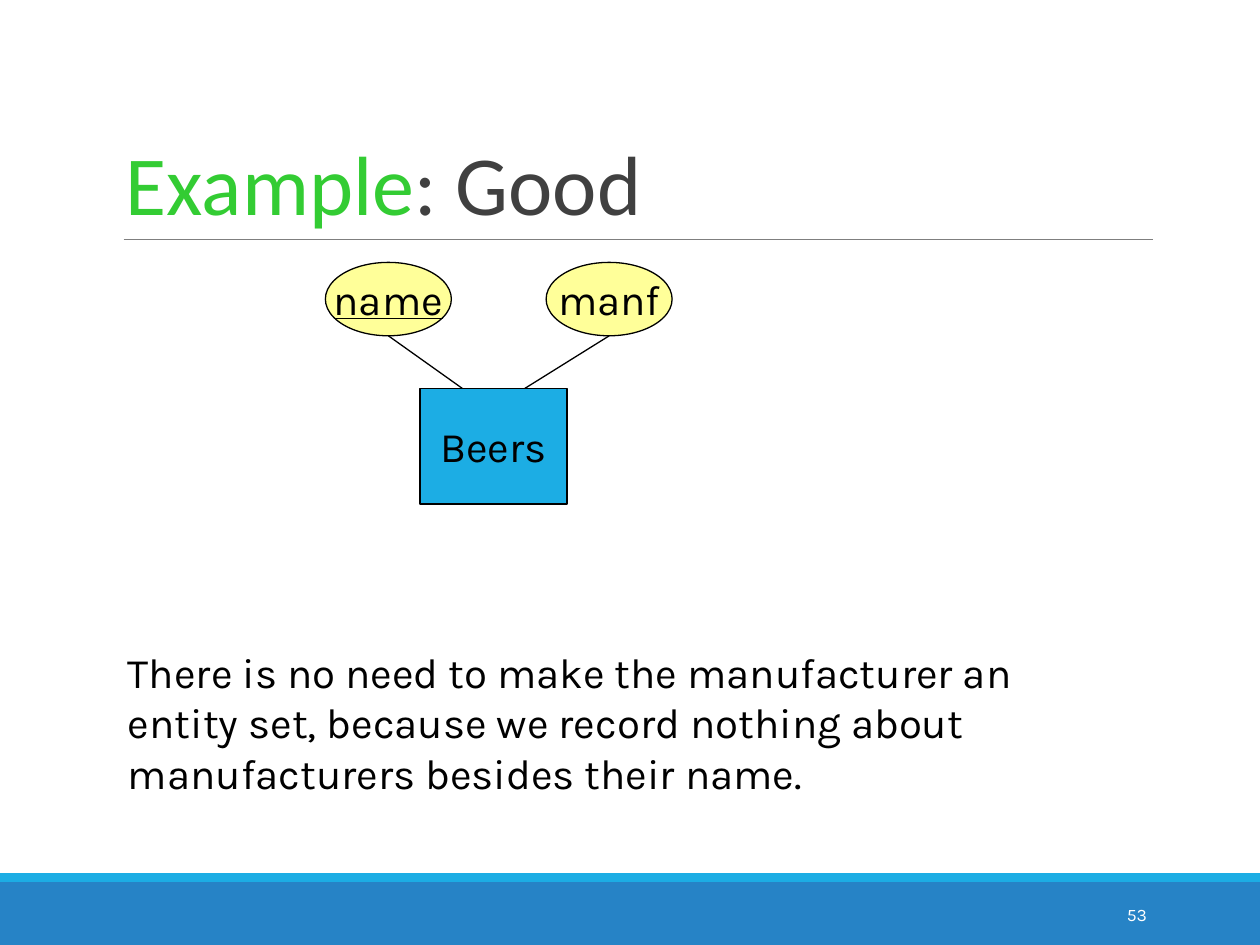
from pptx import Presentation
from pptx.dml.color import RGBColor
from pptx.enum.shapes import MSO_CONNECTOR, MSO_SHAPE
from pptx.enum.text import MSO_ANCHOR, PP_ALIGN
from pptx.oxml.ns import qn
from pptx.util import Cm, Pt
from lxml import etree

STRAIGHT = MSO_CONNECTOR.STRAIGHT
RECTANGLE, OVAL = MSO_SHAPE.RECTANGLE, MSO_SHAPE.OVAL
TOP, MIDDLE, BOTTOM = MSO_ANCHOR.TOP, MSO_ANCHOR.MIDDLE, MSO_ANCHOR.BOTTOM
LEFT, CENTER, RIGHT = PP_ALIGN.LEFT, PP_ALIGN.CENTER, PP_ALIGN.RIGHT

COLORS = {
    "black": "000000",
    "white": "FFFFFF",
    "blue": "2683C6",
    "cyan": "1CADE4",
    "yellow": "FFFF99",
    "green": "33CC33",
    "charcoal": "404040",
    "gray": "7F7F7F",
}


class SlideBuilder:
    """Draws styled elements on the current slide, with lengths in centimetres."""

    body_font = "Karla"
    title_font = "Calibri"

    def __init__(self, slide):
        self.slide = slide

    def color(self, name):
        return RGBColor.from_string(COLORS[name])

    def format_run(self, run, size, color, font=body_font, underline=None):
        run.font.name = font
        run.font.size = Pt(size)
        run.font.color.rgb = self.color(color)
        run.font.underline = underline

    def shape(self, kind, box, fill, outline=None):
        shape = self.slide.shapes.add_shape(kind, *map(Cm, box))
        shape.shadow.inherit = False
        shape.fill.solid()
        shape.fill.fore_color.rgb = self.color(fill)
        if outline:
            shape.line.color.rgb = self.color(outline)
            shape.line.width = Pt(0.75)
        else:
            shape.line.fill.background()
        return shape

    def node(self, kind, box, fill, label, underline=None):
        frame = self.shape(kind, box, fill, "black").text_frame
        frame.word_wrap = False
        frame.vertical_anchor = MIDDLE
        frame.text = label
        paragraph = frame.paragraphs[0]
        paragraph.alignment = CENTER
        self.format_run(paragraph.runs[0], 24, "black", underline=underline)

    def text_box(self, box, anchor):
        frame = self.slide.shapes.add_textbox(*map(Cm, box)).text_frame
        frame.word_wrap = True
        frame.vertical_anchor = anchor
        return frame

    def text(self, box, text, size, color, anchor=TOP, alignment=LEFT):
        frame = self.text_box(box, anchor)
        frame.text = text
        paragraph = frame.paragraphs[0]
        paragraph.alignment = alignment
        self.format_run(paragraph.runs[0], size, color)

    def title(self, box, parts):
        paragraph = self.text_box(box, BOTTOM).paragraphs[0]
        paragraph.line_spacing = 0.85
        for text, color in parts:
            run = paragraph.add_run()
            run.text = text
            self.format_run(run, 48, color, self.title_font)

    def line(self, start, end, color="black", width=0.75):
        connector = self.slide.shapes.add_connector(STRAIGHT, *map(Cm, start + end))
        connector.line.color.rgb = self.color(color)
        connector.line.width = Pt(width)
        etree.SubElement(connector._element.spPr, qn("a:effectLst"))


def main():
    presentation = Presentation()
    presentation.slide_width, presentation.slide_height = Cm(25.4), Cm(19.05)
    builder = SlideBuilder(presentation.slides.add_slide(presentation.slide_layouts[6]))

    builder.shape(RECTANGLE, (0, 17.78, 25.4, 1.27), "blue")
    builder.shape(RECTANGLE, (0, 17.6, 25.4, 0.18), "cyan")
    builder.line((2.49, 4.83), (23.24, 4.83), "gray", 0.5)
    builder.title((2.29, 0.79, 20.95, 4.03), [("Example", "green"), (": Good", "charcoal")])
    builder.text((20.62, 17.93, 2.75, 1.02), "53", 10, "white", MIDDLE, RIGHT)

    entity_top = 7.83
    builder.node(RECTANGLE, (8.47, entity_top, 2.96, 2.33), "cyan", "Beers")
    width, height, top = 2.54, 1.48, 5.29
    attributes = [("name", 6.56, 9.32, True), ("manf", 11.01, 10.58, None)]
    for label, left, entity_x, underline in attributes:
        builder.node(OVAL, (left, top, width, height), "yellow", label, underline)
        builder.line((left + width / 2, top + height), (entity_x, entity_top))

    builder.text(
        (2.33, 12.91, 19.1, 3.3),
        "There is no need to make the manufacturer an entity set, because we "
        "record nothing about manufacturers besides their name.",
        24,
        "black",
    )
    presentation.save("out.pptx")


if __name__ == "__main__":
    main()
